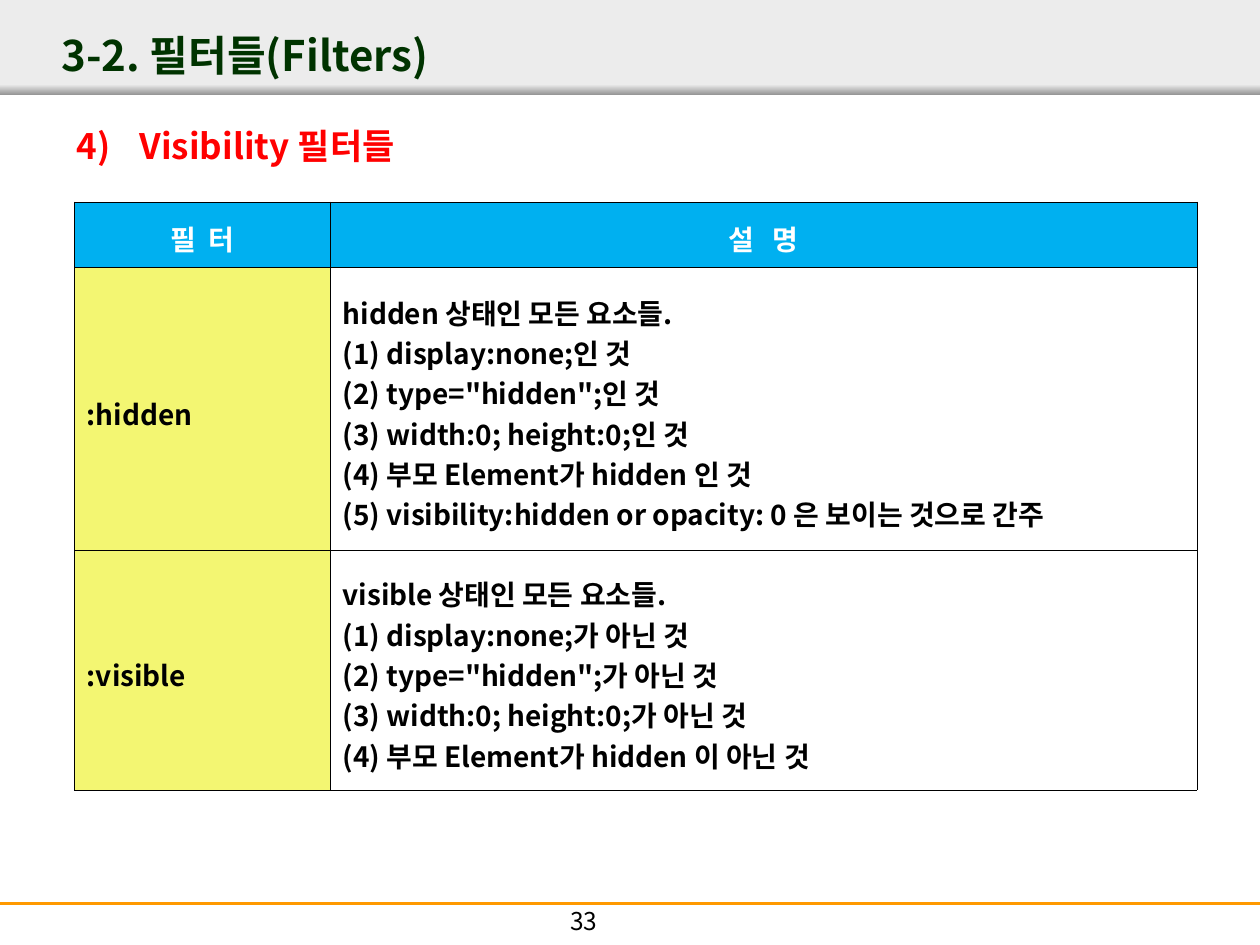
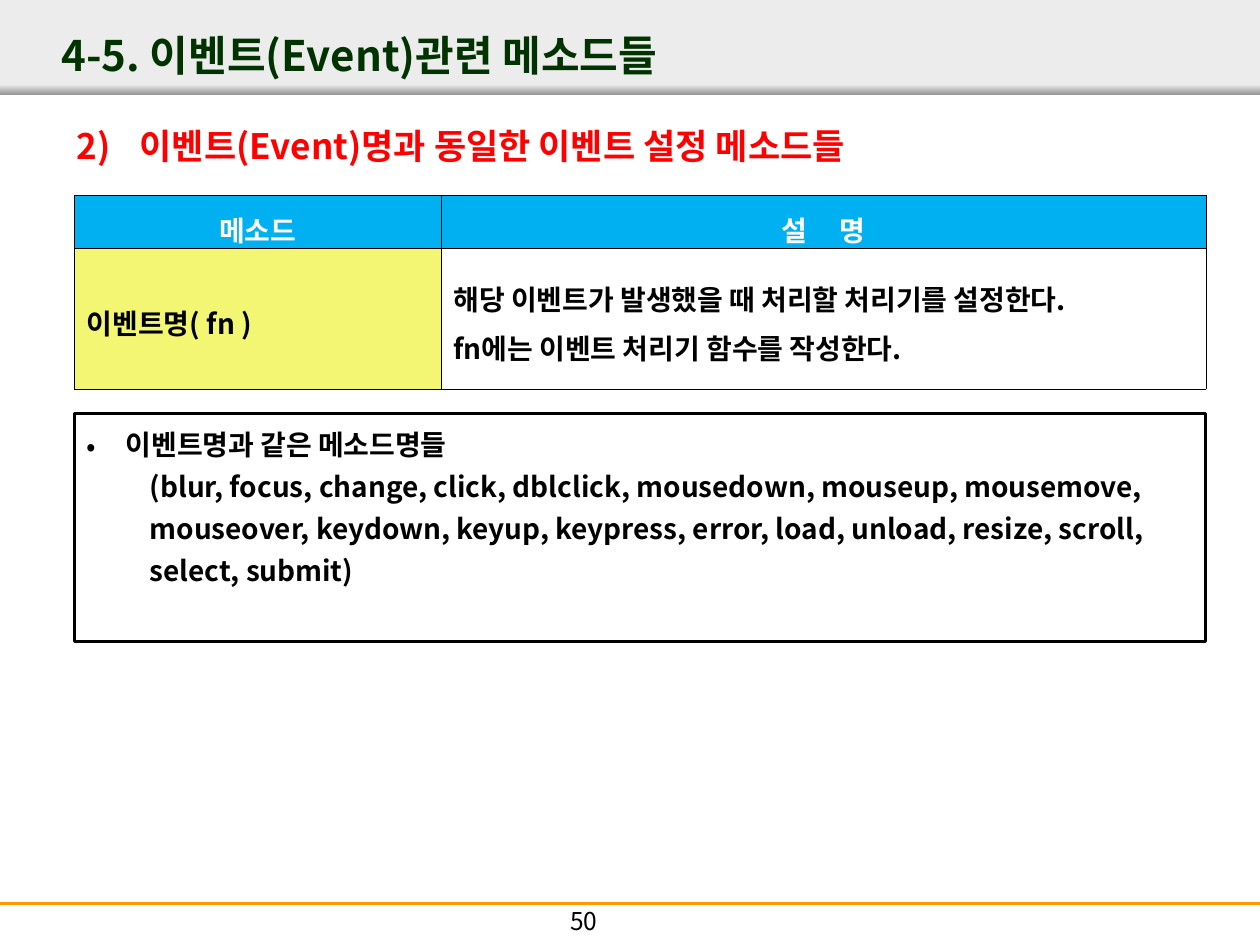
from lxml import etree
from pptx import Presentation
from pptx.dml.color import RGBColor
from pptx.enum.shapes import MSO_CONNECTOR, MSO_SHAPE
from pptx.enum.text import MSO_ANCHOR, PP_ALIGN as AL
from pptx.oxml.ns import qn
from pptx.util import Inches, Pt

FONT = "Noto Sans CJK KR"
BLACK, WHITE, RED, GREEN = "000000", "FFFFFF", "FF0000", "003300"
GRAY, DARK_GRAY, ORANGE = "ECECEC", "979797", "FF9900"
BLUE, YELLOW = "00B0F0", "F3F672"

SLIDES = [
    dict(
        title="3-2. 필터들(Filters)", number="33", start=4, heading="Visibility 필터들",
        top=1.6, cols=[2.03, 6.88], rows=[0.52, 2.25, 1.9],
        header=[("필 터", 180), ("설 명", 360)], later_spacing=1.0,
        body=[
            (":hidden", [
                "hidden 상태인 모든 요소들.",
                "(1) display:none;인 것",
                '(2) type="hidden";인 것',
                "(3) width:0; height:0;인 것",
                "(4) 부모 Element가 hidden 인 것",
                "(5) visibility:hidden or opacity: 0 은 보이는 것으로 간주",
            ]),
            (":visible", [
                "visible 상태인 모든 요소들.",
                "(1) display:none;가 아닌 것",
                '(2) type="hidden";가 아닌 것',
                "(3) width:0; height:0;가 아닌 것",
                "(4) 부모 Element가 hidden 이 아닌 것",
            ]),
        ],
        events=[],
    ),
    dict(
        title="4-5. 이벤트(Event)관련 메소드들", number="50", start=2,
        heading="이벤트(Event)명과 동일한 이벤트 설정 메소드들",
        top=1.55, cols=[2.91, 6.07], rows=[0.42, 1.12],
        header=[("메소드", 0), ("설 명", 720)], later_spacing=1.2,
        body=[
            ("이벤트명( fn )", [
                "해당 이벤트가 발생했을 때 처리할 처리기를 설정한다.",
                "fn에는 이벤트 처리기 함수를 작성한다.",
            ]),
        ],
        events=[
            "이벤트명과 같은 메소드명들",
            "(blur, focus, change, click, dblclick, mousedown, mouseup, mousemove,",
            "mouseover, keydown, keyup, keypress, error, load, unload, resize, scroll,",
            "select, submit)",
        ],
    ),
]


def rgb(color):
    return RGBColor.from_string(color)


def write(tf, lines, size, color, bold=True, align=AL.LEFT, spacing=1.0):
    tf.word_wrap = True
    for i, line in enumerate(lines):
        p = tf.paragraphs[0] if i == 0 else tf.add_paragraph()
        p.text = line
        p.alignment = align
        p.line_spacing = spacing
        r = p.runs[0]
        r.font.size = Pt(size)
        r.font.bold = bold
        r.font.name = FONT
        r.font.color.rgb = rgb(color)
        etree.SubElement(r.font._element, qn("a:ea")).set("typeface", FONT)


prs = Presentation()
prs.slide_width = Inches(10)
prs.slide_height = Inches(7.5)

for info in SLIDES:
    s = prs.slides.add_slide(prs.slide_layouts[6])

    for top, height in [(0, 0.75), (0.67, 0.08)]:
        band = s.shapes.add_shape(MSO_SHAPE.RECTANGLE, 0, Inches(top), Inches(10), Inches(height))
        band.shadow.inherit = False
        band.line.fill.background()
        if top == 0:
            band.fill.solid()
            band.fill.fore_color.rgb = rgb(GRAY)
        else:
            band.fill.gradient()
            band.fill.gradient_angle = 270
            for stop, color in zip(band.fill.gradient_stops, [GRAY, DARK_GRAY]):
                stop.color.rgb = rgb(color)

    rule = s.shapes.add_connector(MSO_CONNECTOR.STRAIGHT, 0, Inches(7.17), Inches(10), Inches(7.17))
    rule.line.color.rgb = rgb(ORANGE)
    rule.line.width = Pt(1.5)
    etree.SubElement(rule._element.spPr, qn("a:effectLst"))

    number = s.shapes.add_textbox(Inches(3.47), Inches(7.14), Inches(2.33), Inches(0.36))
    write(number.text_frame, [info["number"]], 14, BLACK, bold=False, align=AL.CENTER)

    title = s.shapes.add_textbox(Inches(0.39), Inches(0.16), Inches(8.39), Inches(0.55))
    title.text_frame.vertical_anchor = MSO_ANCHOR.MIDDLE
    write(title.text_frame, [info["title"]], 24, GREEN)

    heading = s.shapes.add_textbox(Inches(0.51), Inches(0.84), Inches(8.99), Inches(0.71))
    write(heading.text_frame, [info["heading"]], 20, RED, align=AL.JUSTIFY, spacing=1.3)
    pPr = heading.text_frame.paragraphs[0]._p.get_or_add_pPr()
    pPr.set("marL", str(Inches(0.5)))
    pPr.set("indent", str(Inches(-0.5)))
    num = etree.SubElement(pPr, qn("a:buAutoNum"))
    num.set("type", "arabicParenR")
    num.set("startAt", str(info["start"]))

    cols, rows = info["cols"], info["rows"]
    table = s.shapes.add_table(len(rows), len(cols), Inches(0.59), Inches(info["top"]),
                               Inches(sum(cols)), Inches(sum(rows))).table
    for col, width in zip(table.columns, cols):
        col.width = Inches(width)
    for row, height in zip(table.rows, rows):
        row.height = Inches(height)

    for c, (text, tracking) in enumerate(info["header"]):
        tf = table.cell(0, c).text_frame
        write(tf, [text], 16, WHITE, align=AL.CENTER, spacing=1.2)
        tf.paragraphs[0].runs[0].font._element.set("spc", str(tracking))
    for i, (name, lines) in enumerate(info["body"], 1):
        write(table.cell(i, 0).text_frame, [name], 16, BLACK, align=AL.JUSTIFY, spacing=1.2)
        tf = table.cell(i, 1).text_frame
        write(tf, lines, 16, BLACK, spacing=info["later_spacing"])
        tf.paragraphs[0].line_spacing = 1.2

    for i in range(len(rows)):
        for c in range(len(cols)):
            cell = table.cell(i, c)
            cell.vertical_anchor = MSO_ANCHOR.MIDDLE
            tcPr = cell._tc.get_or_add_tcPr()
            for side in ["lnL", "lnR", "lnT", "lnB"]:
                ln = etree.SubElement(tcPr, qn("a:" + side))
                ln.set("w", str(Pt(0.11)))
                fill = etree.SubElement(ln, qn("a:solidFill"))
                etree.SubElement(fill, qn("a:srgbClr")).set("val", BLACK)
            cell.fill.solid()
            cell.fill.fore_color.rgb = rgb(BLUE if i == 0 else YELLOW if c == 0 else WHITE)

    if info["events"]:
        box = s.shapes.add_shape(MSO_SHAPE.RECTANGLE, Inches(0.59), Inches(3.28),
                                 Inches(8.98), Inches(1.81))
        box.shadow.inherit = False
        box.fill.background()
        box.line.color.rgb = rgb(BLACK)
        box.line.width = Pt(1.5)
        tf = box.text_frame
        tf.vertical_anchor = MSO_ANCHOR.TOP
        write(tf, info["events"], 16, BLACK, align=AL.JUSTIFY, spacing=1.25)
        for i, p in enumerate(tf.paragraphs):
            pPr = p._p.get_or_add_pPr()
            pPr.set("marL", str(Inches(0.5 if i else 0.31)))
            pPr.set("indent", str(Inches(0 if i else -0.31)))
            if i == 0:
                etree.SubElement(pPr, qn("a:buFont")).set("typeface", FONT)
                etree.SubElement(pPr, qn("a:buChar")).set("char", "•")
            else:
                p.level = 1

prs.save("out.pptx")
